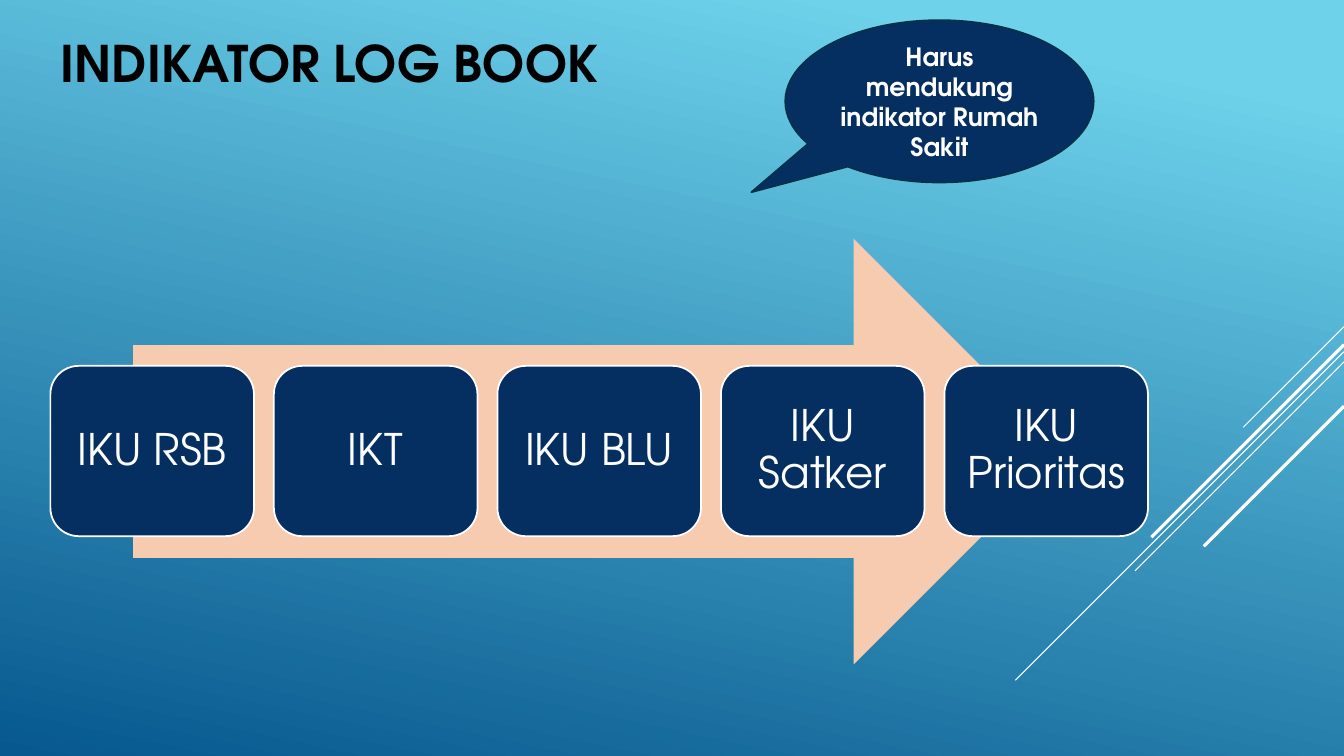
from pptx import Presentation
from pptx.dml.color import RGBColor
from pptx.enum.shapes import MSO_CONNECTOR, MSO_SHAPE
from pptx.enum.text import MSO_ANCHOR, MSO_AUTO_SIZE, PP_ALIGN
from pptx.oxml.ns import qn
from pptx.util import Inches, Pt
from lxml import etree

LINE = MSO_CONNECTOR.STRAIGHT
ARROW, CARD = MSO_SHAPE.RIGHT_ARROW, MSO_SHAPE.ROUNDED_RECTANGLE
BUBBLE = MSO_SHAPE.OVAL_CALLOUT
MIDDLE, NO_FIT = MSO_ANCHOR.MIDDLE, MSO_AUTO_SIZE.NONE
LEFT, CENTER = PP_ALIGN.LEFT, PP_ALIGN.CENTER

WIDE, HIGH = Inches(13.33), Inches(7.5)
FONT = "TeX Gyre Adventor"
HEX = {"sky": "6ED2EB", "sea": "06588E", "navy": "052F61", "edge": "043148",
       "peach": "F6CBAF", "white": "FFFFFF", "black": "000000"}

# Places are percentages of the slide: left, top, width, height
TITLE_AT = (3.75, 2.67, 44.5, 11.2)
ARROW_AT = (9.9, 31.6, 69.45, 56.27)
BUBBLE_AT = (58.43, 2.67, 22.95, 21.47)
CARD_AT = (3.75, 48.4, 15.15, 22.53)
CARD_STEP = 16.63
CARDS = ["IKU RSB", "IKT", "IKU BLU", "IKU Satker", "IKU Prioritas"]

# Start height, run to the left, weight in points
STRIPES = [(43.2, 7.5, 0.75), (46.53, 24.45, 0.75), (47.87, 15.55, 0.75),
           (45.6, 14.33, 2.25), (53.73, 10.43, 2.25)]


def color(name):
    return RGBColor.from_string(HEX[name])


def across(share):
    return int(WIDE * share / 100)


def down(share):
    return int(HIGH * share / 100)


def place(at):
    left, top, width, height = at
    return across(left), down(top), across(width), down(height)


def assign(item, values):
    for name, value in values.items():
        setattr(item, name, value)


def paint(slide):
    fill = slide.background.fill
    fill.gradient()
    fill.gradient_angle = 360 - 102
    for stop, name, spot in zip(fill.gradient_stops, ("sky", "sea"), (0.1, 1)):
        stop.color.rgb = color(name)
        stop.position = spot


def add_stripe(slide, top, run, weight):
    """Draw a 45 degree line from the right edge down to the left."""
    reach = across(run)
    stripe = slide.shapes.add_connector(
        LINE, WIDE, down(top), WIDE - reach, down(top) + reach)
    stripe.line.color.rgb = color("white")
    stripe.line.width = Pt(weight)
    etree.SubElement(stripe._element.spPr, qn("a:effectLst"))


def write(shape, text, size, ink="white", bold=False, align=CENTER,
          space=1.0, inset=None):
    frame = shape.text_frame
    frame.text = text
    assign(frame, {"word_wrap": True, "auto_size": NO_FIT,
                   "vertical_anchor": MIDDLE})
    if inset is not None:
        sides = ("left", "top", "right", "bottom")
        assign(frame, {f"margin_{side}": Inches(inset) for side in sides})
    para = frame.paragraphs[0]
    assign(para, {"alignment": align, "line_spacing": space})
    font = para.runs[0].font
    assign(font, {"name": FONT, "size": Pt(size), "bold": bold})
    font.color.rgb = color(ink)


def add_block(slide, kind, at, fill, edge=None):
    block = slide.shapes.add_shape(kind, *place(at))
    block.shadow.inherit = False
    block.fill.solid()
    block.fill.fore_color.rgb = color(fill)
    if edge:
        block.line.color.rgb = color(edge)
        block.line.width = Pt(1.25)
    else:
        block.line.fill.background()
    return block


def add_title(slide, text):
    title = slide.shapes.title
    assign(title, dict(zip(("left", "top", "width", "height"),
                           place(TITLE_AT))))
    write(title, text, 36, "black", True, LEFT)


def add_cards(slide):
    left, *rest = CARD_AT
    for col, text in enumerate(CARDS):
        at = (left + col * CARD_STEP, *rest)
        card = add_block(slide, CARD, at, "navy", "white")
        write(card, text, 31, space=0.9, inset=0.13)


def add_bubble(slide, text):
    bubble = add_block(slide, BUBBLE, BUBBLE_AT, "navy", "edge")
    for index, value in enumerate((-0.615, 0.561)):
        bubble.adjustments[index] = round(value, 2)
    write(bubble, text, 18, bold=True)


def main():
    deck = Presentation()
    assign(deck, {"slide_width": WIDE, "slide_height": HIGH})
    slide = deck.slides.add_slide(deck.slide_layouts[5])
    paint(slide)
    for stripe in STRIPES:
        add_stripe(slide, *stripe)
    add_title(slide, "INDIKATOR LOG BOOK")
    add_block(slide, ARROW, ARROW_AT, "peach")
    add_cards(slide)
    add_bubble(slide, "Harus mendukung indikator Rumah Sakit")
    deck.save("out.pptx")


if __name__ == "__main__":
    main()
